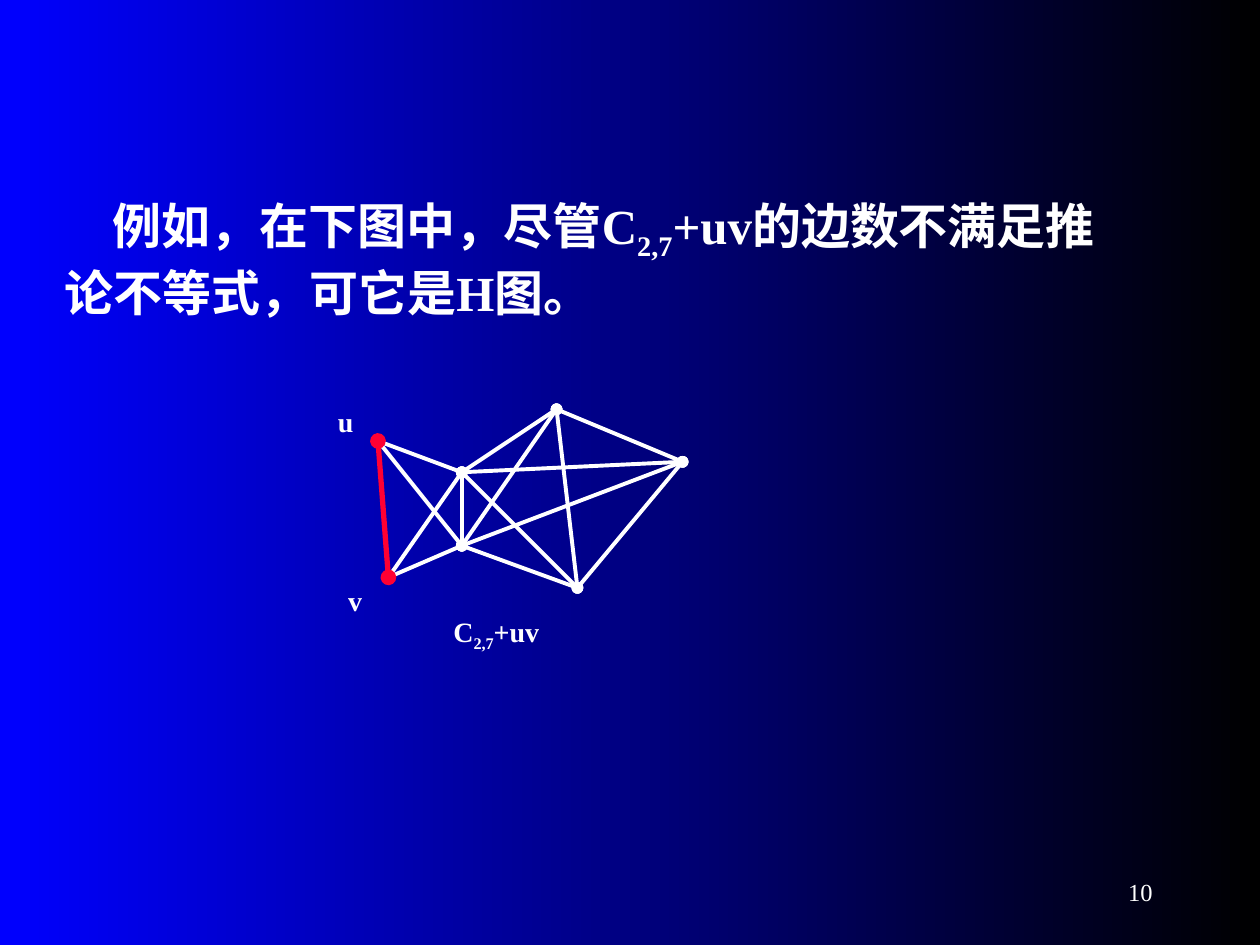
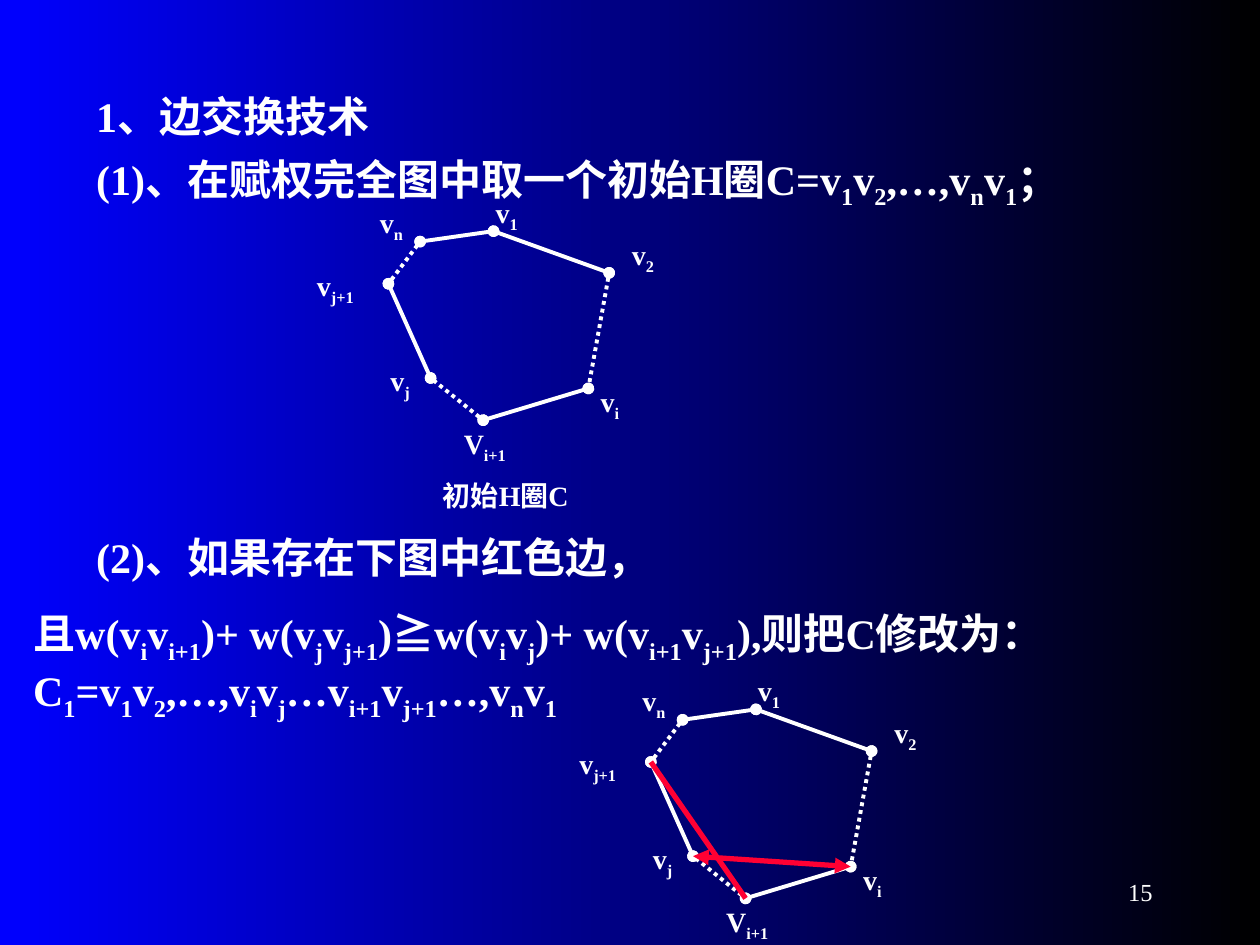
from itertools import combinations, groupby, product

from lxml.etree import SubElement
from pptx import Presentation
from pptx.dml.color import RGBColor
from pptx.enum.dml import MSO_LINE as DASH
from pptx.enum.shapes import MSO_CONNECTOR as CONN
from pptx.enum.text import MSO_ANCHOR as ANCHOR, MSO_AUTO_SIZE as FIT, PP_ALIGN as ALIGN
from pptx.oxml.ns import qn
from pptx.util import Cm, Pt

COLORS = {"left": "0000FF", "right": "000000", "ink": "FFFFFF", "accent": "FF0033"}
LATIN, CJK = "Times New Roman", "Noto Sans CJK SC"

# Text styles
EXAMPLE = {"size": Pt(28), "bold": True}
BODY = {"size": Pt(24), "bold": True}
LABEL = {"size": Pt(16), "bold": True}
NUMBER = {"size": Pt(14), "bold": False}

# Cycle vertices in order: point, label position, label width, label text
CYCLE = {
    "v1": ((3.81, 0.85), (3.6, 0), 1.32, "v|1"),
    "v2": ((6.14, 1.69), (6.35, 0.85), 1.32, "v|2"),
    "vi": ((5.72, 4.02), (5.72, 3.81), 1.32, "v|i"),
    "vi+1": ((3.6, 4.66), (2.96, 4.66), 1.95, "V|i+1"),
    "vj": ((2.54, 3.81), (1.48, 3.39), 1.32, "v|j"),
    "vj+1": ((1.69, 1.91), (0, 1.48), 1.95, "v|j+1"),
    "vn": ((2.33, 1.06), (1.27, 0.21), 1.32, "v|n"),
}

# Vertices of C(2,7)+uv; the hubs touch every other vertex
VERTICES = {
    "u": (1.06, 0.85), "v": (1.27, 3.6),
    "upper hub": (2.75, 1.48), "lower hub": (2.75, 2.96),
    "top": (4.66, 0.21), "right": (7.2, 1.27), "bottom": (5.08, 3.81),
}
HUBS = ("upper hub", "lower hub")
TRIANGLE = ("top", "right", "bottom")


def rgb(key):
    return RGBColor.from_string(COLORS[key])


def add_run(p, text, style, sub):
    """Add one run, lowered when it is a subscript."""
    r = p.add_run()
    r.text = text
    for name, value in style.items():
        setattr(r.font, name, value)
    r.font.color.rgb = rgb("ink")
    r.font.name = CJK if text == "≧" else LATIN
    rPr = r._r.get_or_add_rPr()
    SubElement(rPr, qn("a:ea")).set("typeface", CJK)
    if sub:
        rPr.set("baseline", "-25000")


def add_text(shapes, box, lines, style, indent=0, align=ALIGN.LEFT, anchor=ANCHOR.TOP):
    """Write lines whose subscripts stand between bars; only the first is indented."""
    tf = shapes.add_textbox(*map(Cm, box)).text_frame
    tf.word_wrap, tf.auto_size, tf.vertical_anchor = True, FIT.NONE, anchor
    for i, line in enumerate(lines):
        p = tf.add_paragraph() if i else tf.paragraphs[0]
        p.alignment = align
        if i:
            p.space_before = Pt(15)
        elif indent:
            p._p.get_or_add_pPr().set("indent", str(Cm(indent)))
        for k, part in enumerate(line.split("|")):
            for _, chars in groupby(part, lambda c: c == "≧"):
                add_run(p, "".join(chars), style, k % 2)


def add_edge(shapes, origin, start, end, color="ink", width=2.25, dash=None, tips="oval"):
    """Join two points given relative to the figure's origin."""
    x, y = origin
    s = shapes.add_connector(CONN.STRAIGHT, Cm(x + start[0]), Cm(y + start[1]),
                             Cm(x + end[0]), Cm(y + end[1]))
    s.line.color.rgb = rgb(color)
    s.line.width = Pt(width)
    if dash:
        s.line.dash_style = dash
    if tips:
        for tag in ("a:headEnd", "a:tailEnd"):
            SubElement(s.line._get_or_add_ln(), qn(tag)).set("type", tips)
    SubElement(s._element.spPr, qn("a:effectLst"))


def add_label(shapes, origin, offset, width, text):
    box = (origin[0] + offset[0], origin[1] + offset[1], width, 1.04)
    add_text(shapes, box, [text], LABEL)


def add_base(prs, number):
    """Blank slide with the shared background and page number."""
    slide = prs.slides.add_slide(prs.slide_layouts[6])
    fill = slide.background.fill
    fill.gradient()
    fill.gradient_angle = 0
    for stop, key, pos in zip(fill.gradient_stops, ("left", "right"), (0, 1)):
        stop.color.rgb = rgb(key)
        stop.position = pos
    add_text(slide.shapes, (18.21, 17.34, 5.28, 1.27), [str(number)], NUMBER,
             align=ALIGN.RIGHT, anchor=ANCHOR.MIDDLE)
    return slide


def draw_hub_graph(slide, origin):
    shapes = slide.shapes.add_group_shape().shapes
    others = [name for name in VERTICES if name not in HUBS]
    edges = [HUBS, *product(HUBS, others), *combinations(TRIANGLE, 2)]
    for a, b in edges:
        add_edge(shapes, origin, VERTICES[a], VERTICES[b])
    add_edge(shapes, origin, VERTICES["u"], VERTICES["v"], "accent", 3)
    add_label(shapes, origin, (0, 0), 1.32, "u")
    add_label(shapes, origin, (0.21, 3.6), 1.32, "v")
    add_label(shapes, origin, (2.33, 4.23), 3.18, "C|2,7|+uv")


def draw_cycle(slide, origin, caption=None, swapped=False):
    """Draw the H cycle; every second edge stands for a dotted path."""
    shapes = slide.shapes.add_group_shape().shapes
    points = {name: vertex[0] for name, vertex in CYCLE.items()}
    ring = list(points.values())
    for i, start in enumerate(ring):
        add_edge(shapes, origin, start, ring[(i + 1) % len(ring)],
                 dash=DASH.ROUND_DOT if i % 2 else None)
    for _, offset, width, text in CYCLE.values():
        add_label(shapes, origin, offset, width, text)
    if caption:
        add_label(shapes, origin, (2.54, 5.72), 4.24, caption)
    if swapped:
        add_edge(shapes, origin, points["vj"], points["vi"], "accent", 3, tips="triangle")
        add_edge(shapes, origin, points["vj+1"], points["vi+1"], "accent", 3, tips=None)


def example_slide(prs):
    slide = add_base(prs, 10)
    add_text(slide.shapes, (1.06, 3.81, 22.01, 2.8),
             ["例如，在下图中，尽管C|2,7|+uv的边数不满足推论不等式，可它是H图。"],
             EXAMPLE, indent=0.96)
    draw_hub_graph(slide, (6.56, 8.04))


def exchange_slide(prs):
    slide = add_base(prs, 15)
    steps = [
        ((0.42, 1.69, 22.01, 1.27), ["1、边交换技术"]),
        ((0.42, 2.96, 22.01, 1.42),
         ["(1)、在赋权完全图中取一个初始H圈C=v|1|v|2|,…,v|n|v|1|；"]),
        ((0.42, 10.58, 23.28, 4.12),
         ["(2)、如果存在下图中红色边，",
          "且w(v|i|v|i+1|)+ w(v|j|v|j+1|)≧w(v|i|v|j|)+ w(v|i+1|v|j+1|),则把C修改为： "
          "C|1|=v|1|v|2|,…,v|i|v|j|…v|i+1|v|j+1|…,v|n|v|1"]),
    ]
    for box, lines in steps:
        add_text(slide.shapes, box, lines, BODY, indent=1.27)
    draw_cycle(slide, (6.14, 3.81), caption="初始H圈C")
    draw_cycle(slide, (11.43, 13.45), swapped=True)


def main():
    prs = Presentation()
    prs.slide_width, prs.slide_height = Cm(25.4), Cm(19.05)
    example_slide(prs)
    exchange_slide(prs)
    prs.save("out.pptx")


if __name__ == "__main__":
    main()
